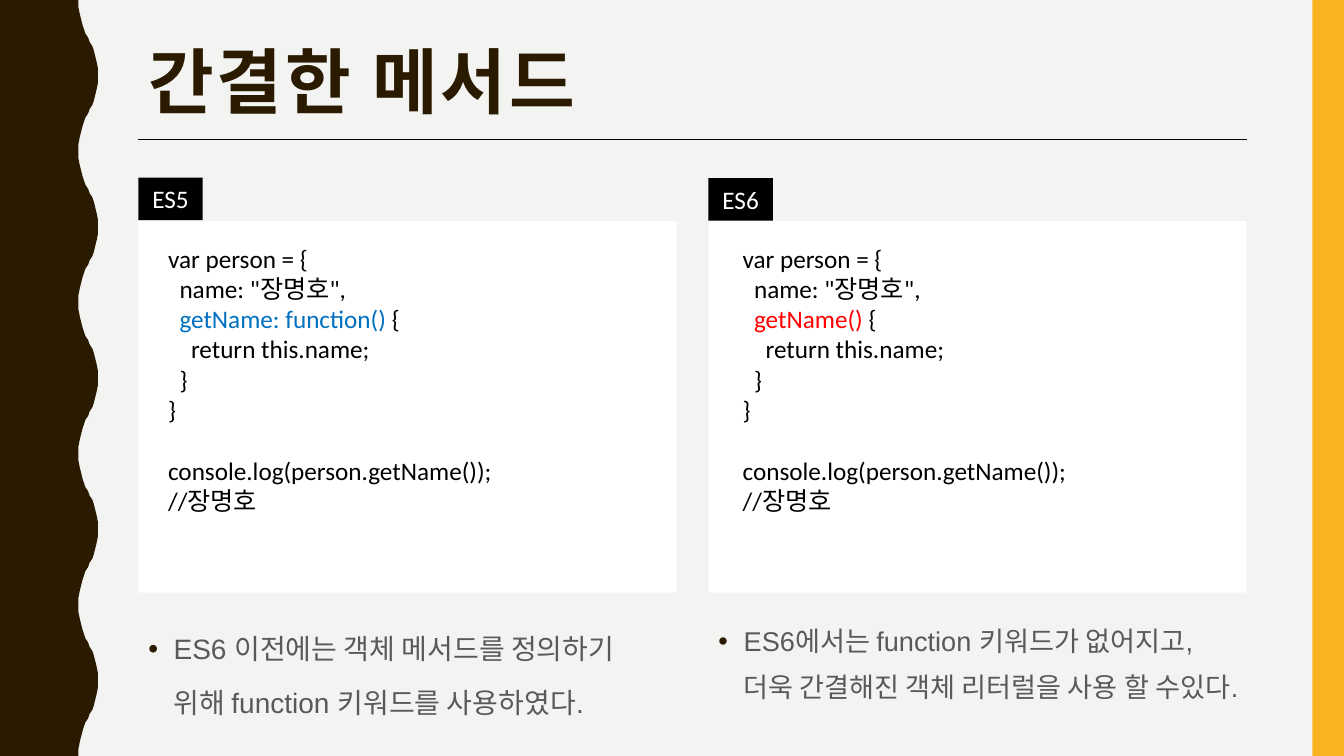
from lxml import etree
from pptx import Presentation
from pptx import util as u
from pptx.dml.color import RGBColor
from pptx.enum import shapes, text
from pptx.oxml import ns

BROWN, AMBER, PAPER = "2A1A00", "F8B323", "F3F3F2"
BLACK, WHITE, GREY = "000000", "FFFFFF", "595959"
BLUE, RED = "0070C0", "FF0000"

PAGE_WIDTH, PAGE_HEIGHT = 960, 540
WAVE_PERIOD = 108
# Rising half of one wave: distance from the left edge, then height
HALF_WAVE = [(56, 0), (56.3, 5), (57, 10), (57.8, 14.5), (58.6, 18),
             (60, 21), (61.2, 24), (62.6, 27), (64, 30), (65.5, 33),
             (67, 36), (68.2, 39.5), (69.2, 44), (69.8, 49), (70, 54)]

LEFT, RULE_RIGHT, RULE_TOP = 98.8, 891, 99.3
PANEL_TOP, PANEL_WIDTH, PANEL_HEIGHT = 157.7, 384.5, 265.7
TAG_WIDTH, TAG_HEIGHT = 46, 30.4
NOTE_TOP, NOTE_HEIGHT = 433.4, 106.6
CODE_TOP, CODE_WIDTH, CODE_HEIGHT = 170, 350.6, 203.8
CODE_STEP, CODE_LINE = 8.2, 22


def color(value):
    return RGBColor.from_string(value)


class Page:
    """Draws styled elements on one slide; all lengths are in points."""

    def __init__(self, deck, layout):
        self.slide = deck.slides.add_slide(deck.slide_layouts[layout])
        self.items = self.slide.shapes
        fill = self.slide.background.fill
        fill.solid()
        fill.fore_color.rgb = color(PAPER)

    def format(self, para, size, name, hue, bold=False):
        for span in para.runs:
            span.font.size = u.Pt(size)
            span.font.name = name
            span.font.bold = bold
            span.font.color.rgb = color(hue)

    def paint(self, shape, hue):
        shape.fill.solid()
        shape.fill.fore_color.rgb = color(hue)
        shape.line.fill.background()
        shape.shadow.inherit = False
        return shape

    def rect(self, left, top, width, height, hue):
        box = self.items.add_shape(shapes.MSO_SHAPE.RECTANGLE, u.Pt(left),
                                   u.Pt(top), u.Pt(width), u.Pt(height))
        return self.paint(box, hue)

    def outline(self, points, hue):
        builder = self.items.build_freeform(*points[0], scale=u.Pt(1))
        builder.add_line_segments(points[1:], close=True)
        return self.paint(builder.convert_to_shape(), hue)

    def rule(self, left, right, top):
        line = self.items.add_connector(shapes.MSO_CONNECTOR.STRAIGHT,
                                        u.Pt(left), u.Pt(top),
                                        u.Pt(right), u.Pt(top))
        line.line.color.rgb = color(BLACK)
        line.line.width = u.Pt(0.5)
        etree.SubElement(line._element.spPr, ns.qn("a:effectLst"))

    def place(self, index, left, top, width, height, words):
        box = self.slide.placeholders[index]
        box.left, box.top = u.Pt(left), u.Pt(top)
        box.width, box.height = u.Pt(width), u.Pt(height)
        frame = box.text_frame
        frame.text = words
        frame.word_wrap = True
        frame.auto_size = text.MSO_AUTO_SIZE.NONE
        frame.vertical_anchor = text.MSO_ANCHOR.TOP
        para = frame.paragraphs[0]
        para.alignment = text.PP_ALIGN.LEFT
        return para

    def title(self, words):
        para = self.place(0, LEFT, 30.2, 801.4, 117.4, words)
        para.line_spacing = 0.9
        self.format(para, 51, "Roboto Condensed", BROWN, bold=True)
        for span in para.runs:
            span.font._element.set("spc", "200")

    def note(self, index, left, words, size, spacing):
        para = self.place(index, left, NOTE_TOP, PANEL_WIDTH, NOTE_HEIGHT, words)
        para.line_spacing = spacing
        para.space_before = u.Pt(7)
        self.format(para, size, "Arial", GREY)
        # Hanging bullet in the title colour
        props = para._p.get_or_add_pPr()
        props.set("marL", str(u.Pt(18)))
        props.set("indent", str(-u.Pt(18)))
        bullet_color = etree.SubElement(props, ns.qn("a:buClr"))
        etree.SubElement(bullet_color, ns.qn("a:srgbClr"), val=BROWN)
        etree.SubElement(props, ns.qn("a:buFont"), typeface="Arial")
        etree.SubElement(props, ns.qn("a:buChar"), char="•")

    def tag(self, left, top, words):
        box = self.rect(left, top, TAG_WIDTH, TAG_HEIGHT, BLACK)
        frame = box.text_frame
        frame.text = words
        frame.word_wrap = False
        frame.vertical_anchor = text.MSO_ANCHOR.MIDDLE
        frame.paragraphs[0].alignment = text.PP_ALIGN.CENTER
        self.format(frame.paragraphs[0], 18, "Calibri", WHITE)

    def code(self, left, method, hue):
        lines = [(0, "var person = {"), (1, 'name: "장명호",'), (1, method),
                 (2, "return this.name;"), (1, "}"), (0, "}"),
                 (0, "console.log(person.getName());"), (0, "//장명호")]
        box = self.items.add_textbox(u.Pt(left), u.Pt(CODE_TOP),
                                     u.Pt(CODE_WIDTH), u.Pt(CODE_HEIGHT))
        frame = box.text_frame
        frame.word_wrap = True
        frame.text = "\n".join(words for _, words in lines)
        for para, (depth, words) in zip(frame.paragraphs, lines):
            if words == method:
                para.add_run().text = " {"
            self.format(para, 18, "Calibri", BLACK)
            if words == method:
                para.runs[0].font.color.rgb = color(hue)
            if words.startswith("console"):
                para.space_before = u.Pt(CODE_LINE)
            para._p.get_or_add_pPr().set("marL", str(u.Pt(depth * CODE_STEP)))


def wave_outline():
    wave = HALF_WAVE + [(x, WAVE_PERIOD - y) for x, y in HALF_WAVE[-2::-1]]
    edge = [(x, y + start) for start in range(0, PAGE_HEIGHT, WAVE_PERIOD)
            for x, y in wave]
    return [(0, 0)] + edge + [(0, PAGE_HEIGHT)]


def main():
    deck = Presentation()
    deck.slide_width, deck.slide_height = u.Pt(PAGE_WIDTH), u.Pt(PAGE_HEIGHT)
    page = Page(deck, 3)

    # Side decoration
    page.outline(wave_outline(), BROWN)
    page.rect(937.5, 0, PAGE_WIDTH - 937.5, PAGE_HEIGHT, AMBER)

    # Heading
    page.title("간결한 메서드")
    page.rule(LEFT, RULE_RIGHT, RULE_TOP)

    # Two columns: panel, tag, code and note
    columns = [
        (LEFT, 113, 126.9, "ES5", "getName: function()", BLUE, 20, 1.6,
         "ES6 이전에는 객체 메서드를 정의하기 위해 function 키워드를 사용하였다."),
        (506, 523.4, 127.3, "ES6", "getName()", RED, 19.4, 1.4,
         "ES6에서는 function 키워드가 없어지고, 더욱 간결해진 객체 리터럴을 사용 할 수있다."),
    ]
    for index, column in enumerate(columns, start=1):
        left, code_left, tag_top, name, method, hue, size, spacing, note = column
        page.rect(left, PANEL_TOP, PANEL_WIDTH, PANEL_HEIGHT, WHITE)
        page.tag(left, tag_top, name)
        page.code(code_left, method, hue)
        page.note(index, left, note, size, spacing)

    deck.save("out.pptx")


if __name__ == "__main__":
    main()
